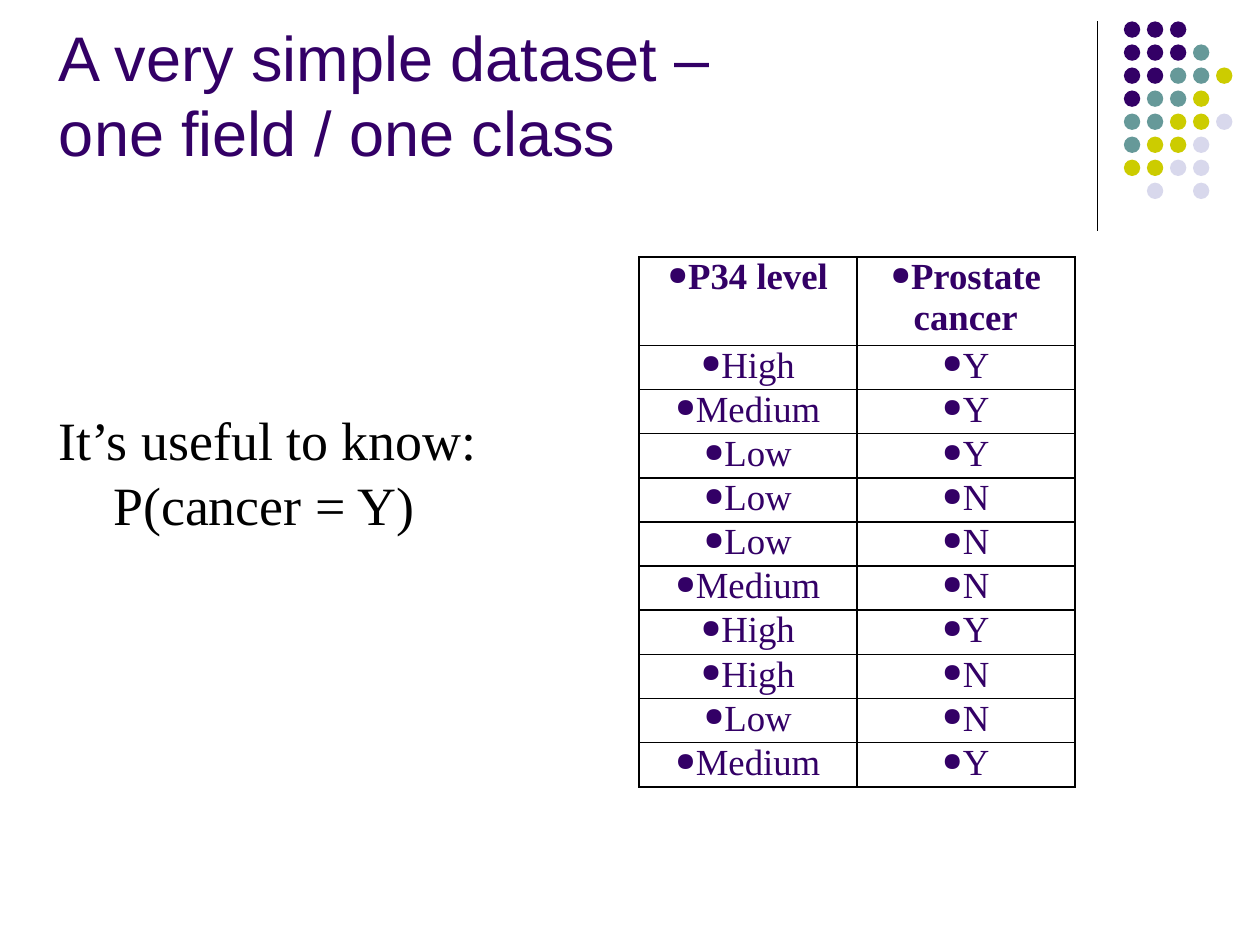
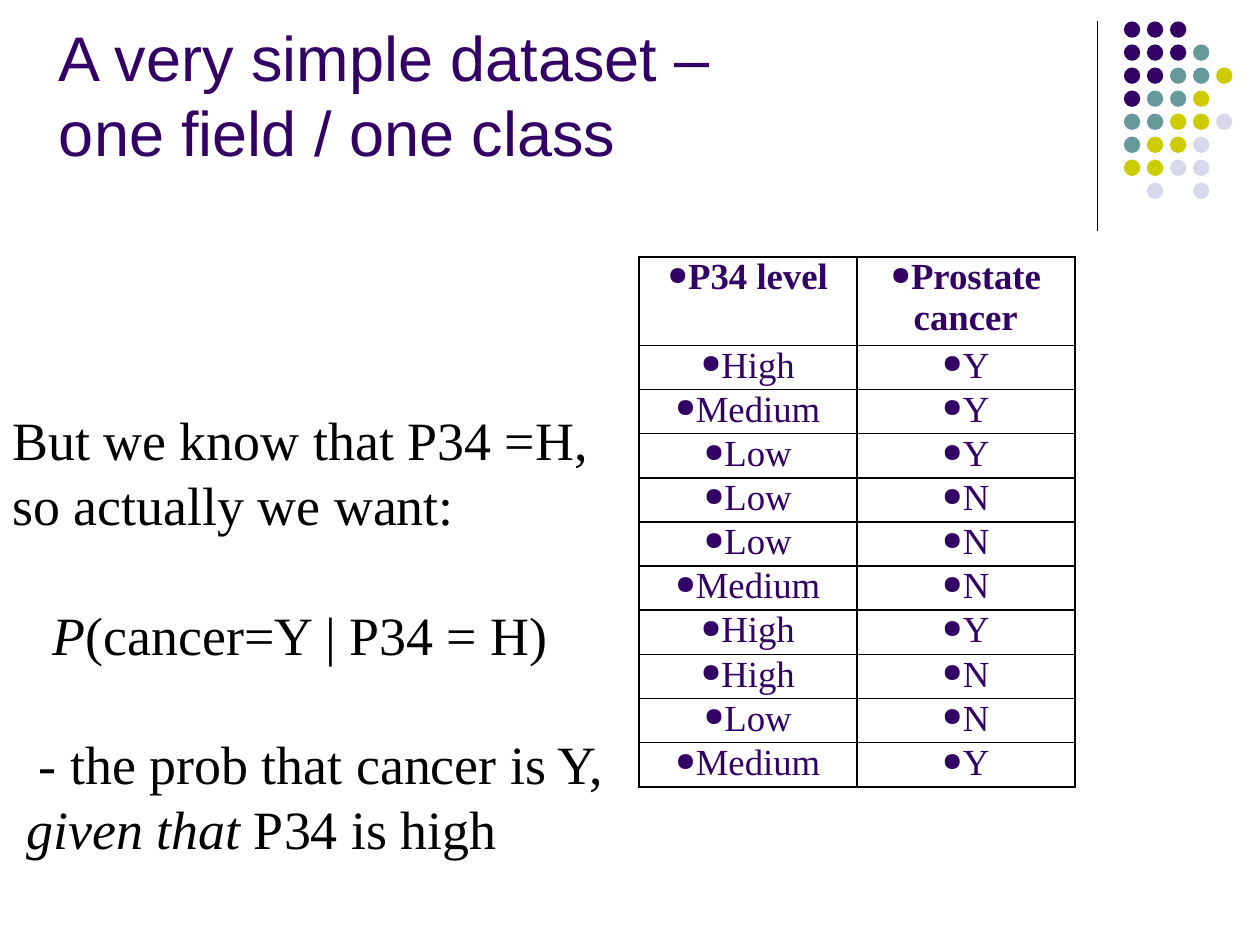
from dataclasses import dataclass

from lxml.etree import SubElement
from pptx import Presentation
from pptx.dml.color import RGBColor
from pptx.enum.shapes import MSO_CONNECTOR, MSO_SHAPE
from pptx.enum.text import MSO_ANCHOR, PP_ALIGN
from pptx.oxml import parse_xml
from pptx.oxml.ns import nsdecls, qn
from pptx.slide import Slide
from pptx.table import _Cell as Cell
from pptx.text.text import TextFrame, _Paragraph as Paragraph
from pptx.util import Inches, Pt


@dataclass(frozen=True)
class Theme:
    purple: str = "330066"
    teal: str = "669999"
    lime: str = "CCCC00"
    lilac: str = "D8D8EC"
    black: str = "000000"
    white: str = "FFFFFF"
    title_font: str = "Arial"
    body_font: str = "Times New Roman"
    title_size: float = 36
    title_pitch: float = 43
    body_size: float = 30.8
    body_pitch: float = 37
    table_size: float = 21


@dataclass(frozen=True)
class Span:
    text: str
    italic: bool = False


@dataclass(frozen=True)
class Line:
    spans: tuple[Span, ...]
    indent: float = 0
    space_before: float = 0


@dataclass(frozen=True)
class Note:
    left: float
    width: float
    height: float
    lines: tuple[Line, ...]


THEME = Theme()
TITLE_LINES = ("A very simple dataset –", "one field / one class")
DOT_ROWS = ("PPP", "PPPT", "PPTTL", "PTTL", "TTLLG", "TLLG", "LLGG", " G G")
DOT_COLOURS = {"P": THEME.purple, "T": THEME.teal, "L": THEME.lime, "G": THEME.lilac}
DATASET = (
    ("P34 level", "Prostate cancer"),
    ("High", "Y"),
    ("Medium", "Y"),
    ("Low", "Y"),
    ("Low", "N"),
    ("Low", "N"),
    ("Medium", "N"),
    ("High", "Y"),
    ("High", "N"),
    ("Low", "N"),
    ("Medium", "Y"),
)
NOTES = (
    Note(0.37, 3.76, 2.17, (
        Line((Span("It’s useful to know:"),)),
        Line((Span("P(cancer = Y)"),), indent=0.43),
    )),
    Note(0, 4.94, 3.73, (
        Line((Span("But we know that P34 =H,"),)),
        Line((Span("so actually we want:"),)),
        Line((Span("P", italic=True), Span("(cancer=Y | P34 = H)")),
             indent=0.32, space_before=THEME.body_pitch),
        Line((Span("- the prob that cancer is Y,"),),
             indent=0.21, space_before=THEME.body_pitch),
        Line((Span("given that", italic=True), Span(" P34 is high")), indent=0.11),
    )),
)


def add_span(para: Paragraph, text: str, font: str, size: float, colour: str,
             bold: bool = False, italic: bool = False) -> None:
    span = para.add_run()
    span.text = text
    span.font.name = font
    span.font.size = Pt(size)
    span.font.bold = bold
    span.font.italic = italic
    span.font.color.rgb = RGBColor.from_string(colour)


def add_text_frame(slide: Slide, left: float, top: float,
                   width: float, height: float) -> TextFrame:
    box = slide.shapes.add_textbox(Inches(left), Inches(top), Inches(width), Inches(height))
    box.text_frame.word_wrap = True
    return box.text_frame


def add_corner_motif(slide: Slide) -> None:
    """Draw the vertical rule and the grid of dots at the top right."""
    rule = slide.shapes.add_connector(
        MSO_CONNECTOR.STRAIGHT, Inches(8.71), Inches(0.17), Inches(8.71), Inches(1.83))
    rule.line.color.rgb = RGBColor.from_string(THEME.black)
    rule.line.width = Pt(0.75)
    SubElement(rule.line._get_or_add_ln().getparent(), qn("a:effectLst"))

    dots = slide.shapes.add_group_shape()
    size, pitch = Inches(0.13), Inches(1.28) / 7
    for row, codes in enumerate(DOT_ROWS):
        for column, code in enumerate(codes):
            if code not in DOT_COLOURS:
                continue
            dot = dots.shapes.add_shape(
                MSO_SHAPE.OVAL, Inches(8.92) + round(column * pitch),
                Inches(0.17) + round(row * pitch), size, size)
            dot.shadow.inherit = False
            dot.fill.solid()
            dot.fill.fore_color.rgb = RGBColor.from_string(DOT_COLOURS[code])
            dot.line.fill.background()


def add_title(slide: Slide) -> None:
    frame = add_text_frame(slide, 0.37, 0.21, 9.63, 1.18)
    frame.vertical_anchor = MSO_ANCHOR.BOTTOM
    para = frame.paragraphs[0]
    para.line_spacing = Pt(THEME.title_pitch)
    for index, text in enumerate(TITLE_LINES):
        if index:
            para.add_line_break()
        add_span(para, text, THEME.title_font, THEME.title_size, THEME.purple)


def add_bullet(para: Paragraph) -> None:
    properties = para._p.get_or_add_pPr()
    properties.set("marL", "0")
    properties.set("indent", "0")
    colour = SubElement(properties, qn("a:buClr"))
    SubElement(colour, qn("a:srgbClr"), val=THEME.purple)
    SubElement(properties, qn("a:buSzPct"), val="70000")
    SubElement(properties, qn("a:buChar"), char="●")


def add_borders(cell: Cell) -> None:
    properties = cell._tc.get_or_add_tcPr()
    for index, side in enumerate(("lnL", "lnR", "lnT", "lnB")):
        properties.insert(index, parse_xml(
            f'<a:{side} {nsdecls("a")} w="{Pt(1)}"><a:solidFill>'
            f'<a:srgbClr val="{THEME.black}"/></a:solidFill></a:{side}>'))


def fill_cell(cell: Cell, text: str, bold: bool) -> None:
    cell.margin_left = cell.margin_right = cell.margin_top = cell.margin_bottom = 0
    cell.fill.solid()
    cell.fill.fore_color.rgb = RGBColor.from_string(THEME.white)
    add_borders(cell)
    para = cell.text_frame.paragraphs[0]
    para.alignment = PP_ALIGN.CENTER
    add_bullet(para)
    add_span(para, text, THEME.body_font, THEME.table_size, THEME.purple, bold=bold)


def add_dataset_table(slide: Slide) -> None:
    table = slide.shapes.add_table(
        len(DATASET), len(DATASET[0]),
        Inches(5.07), Inches(2.04), Inches(3.46), Inches(4.2)).table
    table.first_row = table.horz_banding = False
    for column in table.columns:
        column.width = Inches(1.73)
    for index, values in enumerate(DATASET):
        is_header = index == 0
        table.rows[index].height = Inches(0.68 if is_header else 0.35)
        for column, text in enumerate(values):
            fill_cell(table.cell(index, column), text, bold=is_header)


def add_note(slide: Slide, note: Note) -> None:
    frame = add_text_frame(slide, note.left, 3.18, note.width, note.height)
    for index, line in enumerate(note.lines):
        para = frame.add_paragraph() if index else frame.paragraphs[0]
        para.line_spacing = Pt(THEME.body_pitch)
        if line.space_before:
            para.space_before = Pt(line.space_before)
        para._p.get_or_add_pPr().set("marL", str(Inches(line.indent)))
        for span in line.spans:
            add_span(para, span.text, THEME.body_font, THEME.body_size,
                     THEME.black, italic=span.italic)


def main() -> None:
    deck = Presentation()
    deck.slide_width, deck.slide_height = Inches(10), Inches(7.5)
    for note in NOTES:
        slide = deck.slides.add_slide(deck.slide_layouts[6])
        add_corner_motif(slide)
        add_title(slide)
        add_dataset_table(slide)
        add_note(slide, note)
    deck.save("out.pptx")


if __name__ == "__main__":
    main()
